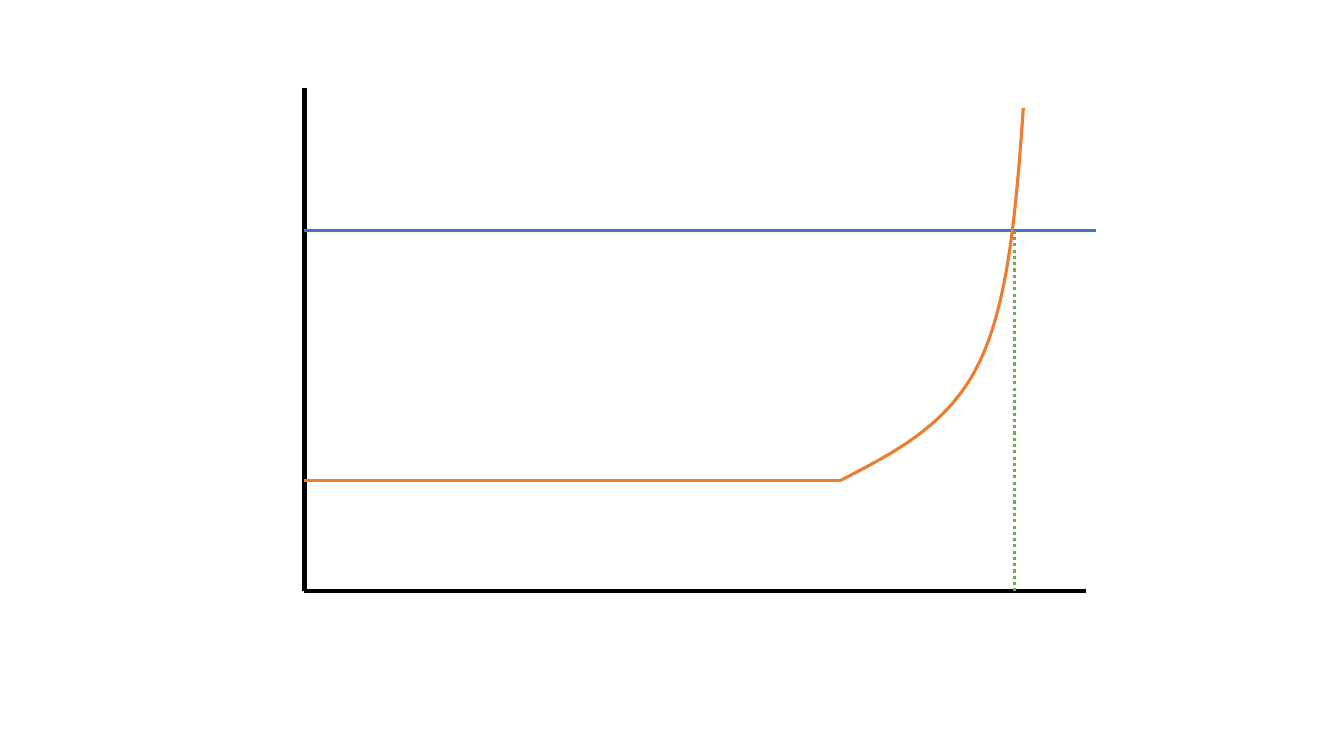
import pptx
import pptx.dml.color
import pptx.enum.dml
import pptx.enum.shapes
import pptx.oxml
import pptx.oxml.ns
import pptx.util

Inches = pptx.util.Inches
RGBColor = pptx.dml.color.RGBColor

BLACK = RGBColor(0x00, 0x00, 0x00)
ORANGE = RGBColor(0xED, 0x7D, 0x31)
BLUE = RGBColor(0x44, 0x72, 0xC4)
GREEN = RGBColor(0x70, 0xAD, 0x47)

PLOT_BOX = (3.02, 0.87, 7.75, 4.99)  # left, top, width, height

# Plot positions are inches right of and above the point where the axes meet.
BASE_LEVEL = 1.09
LIMIT_LEVEL = 3.57
LIMIT_LENGTH = 7.85
CROSSING = 7.04
BEND = (5.31, BASE_LEVEL)
CURVE_CONTROLS = [
    (5.85, 1.37), (6.39, 1.64), (6.69, 2.26),
    (6.99, 2.87), (7.06, 3.83), (7.13, 4.79),
]


def format_line(line, color, width, dash=None):
    line.color.rgb = color
    line.width = pptx.util.Pt(width)
    if dash is not None:
        line.dash_style = dash


def add_line(slide, start, end, color, width=2.25, dash=None):
    connector = slide.shapes.add_connector(
        pptx.enum.shapes.MSO_CONNECTOR.STRAIGHT, *start, *end)
    format_line(connector.line, color, width, dash)
    connector._element.spPr.append(pptx.oxml.parse_xml(
        f'<a:effectLst {pptx.oxml.ns.nsdecls("a")}/>'))


def add_curve(slide, start, controls, color, width=2.25):
    """Draw cubic Bezier segments, each given by three control points."""
    builder = slide.shapes.build_freeform(*start)
    builder.add_line_segments(controls, close=False)
    curve = builder.convert_to_shape()
    curve.shadow.inherit = False
    curve.fill.background()
    format_line(curve.line, color, width)

    # Merge every three straight steps into one Bezier segment.
    steps = list(curve._element.iter(pptx.oxml.ns.qn("a:lnTo")))
    for first in range(0, len(steps), 3):
        segment = pptx.oxml.parse_xml(
            f'<a:cubicBezTo {pptx.oxml.ns.nsdecls("a")}/>')
        steps[first].addprevious(segment)
        for step in steps[first:first + 3]:
            segment.append(step[0])
            step.getparent().remove(step)


def add_plot(slide, box):
    left, top, width, height = box

    def place(x, y):
        return Inches(left + x), Inches(top + height - y)

    origin = place(0, 0)
    add_line(slide, place(0, height), origin, BLACK, width=3)
    add_line(slide, origin, place(width, 0), BLACK, width=3)
    add_line(slide, place(0, BASE_LEVEL), place(*BEND), ORANGE)
    add_line(slide, place(0, LIMIT_LEVEL), place(LIMIT_LENGTH, LIMIT_LEVEL), BLUE)
    add_curve(slide, place(*BEND), [place(*point) for point in CURVE_CONTROLS], ORANGE)
    add_line(slide, place(CROSSING, LIMIT_LEVEL), place(CROSSING, 0), GREEN,
             dash=pptx.enum.dml.MSO_LINE.ROUND_DOT)


def main():
    deck = pptx.Presentation()
    deck.slide_width = Inches(13.33)
    deck.slide_height = Inches(7.5)
    slide = deck.slides.add_slide(deck.slide_layouts[6])
    add_plot(slide, PLOT_BOX)
    deck.save("out.pptx")


if __name__ == "__main__":
    main()
